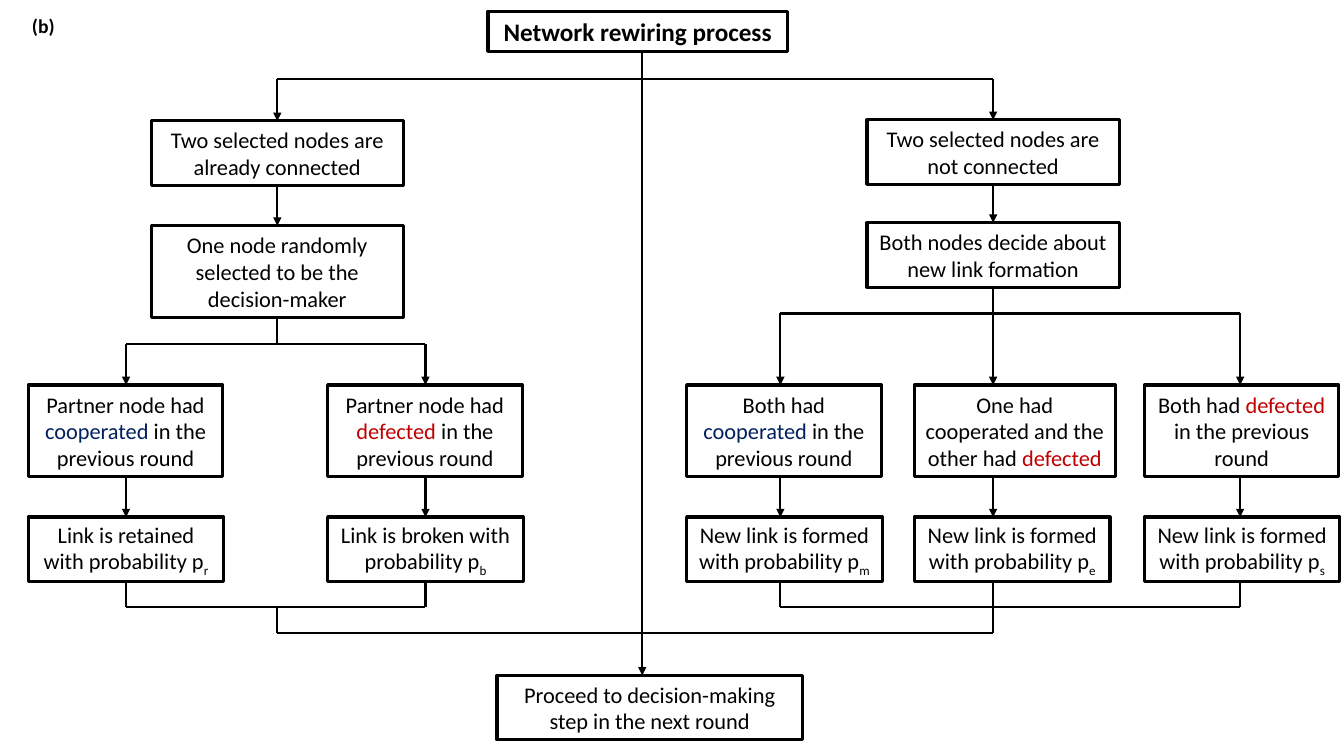
from dataclasses import dataclass

from lxml import etree
from pptx import Presentation
from pptx.dml.color import RGBColor
from pptx.enum.shapes import MSO_CONNECTOR, MSO_SHAPE
from pptx.enum.text import MSO_ANCHOR, MSO_AUTO_SIZE, PP_ALIGN
from pptx.oxml.ns import qn
from pptx.util import Inches, Pt


@dataclass(frozen=True)
class Theme:
    """Colours, type sizes and line weights."""
    font: str = "Calibri"
    ink: str = "000000"
    cooperated: str = "002060"
    defected: str = "C00000"
    title: float = 18
    body: float = 16
    label: float = 14
    border: float = 2.25
    line: float = 1.5
    merge: float = 1.25


@dataclass(frozen=True)
class Box:
    """A rectangle measured in grid columns and rows."""
    left: float
    top: float
    width: float
    height: float

    @property
    def bottom(self):
        """Row of the lower edge."""
        return self.top + self.height

    def inner(self, left, top, width, height):
        """Box placed relative to this one."""
        return Box(self.left + left, self.top + top, width, height)


@dataclass(frozen=True)
class Outcome:
    """One column of a branch: its arrow, boxes and wording."""
    arrow: float
    left: float
    width: float
    condition: tuple
    result: tuple


THEME = Theme()
CELL = Inches(0.1)
CONDITION_ROW, RESULT_ROW, JOIN_ROW = 30.4, 43.5, 52.4
TWO_LINES, THREE_LINES = 6.4, 9.1
COOPERATED = ("cooperated", THEME.cooperated)
DEFECTED = ("defected", THEME.defected)


def cells(*counts):
    """Convert grid counts to slide lengths."""
    return [round(count * CELL) for count in counts]


def write(shape, pieces, size=THEME.body, bold=False):
    """Fill a shape with centred text, coloured words and subscripts."""
    frame = shape.text_frame
    frame.word_wrap = True
    frame.auto_size = MSO_AUTO_SIZE.NONE
    frame.vertical_anchor = MSO_ANCHOR.MIDDLE
    paragraph = frame.paragraphs[0]
    paragraph.alignment = PP_ALIGN.CENTER
    for piece in pieces:
        text, colour = piece if isinstance(piece, tuple) else (piece, THEME.ink)
        run = paragraph.add_run()
        run.text = text.removeprefix("_")
        run.font.name, run.font.size, run.font.bold = THEME.font, Pt(size), bold
        run.font.color.rgb = RGBColor.from_string(colour)
        if text.startswith("_"):
            run._r.get_or_add_rPr().set("baseline", "-25000")


def outline(shape):
    """Give a shape the plain bordered look."""
    shape.fill.background()
    shape.line.color.rgb = RGBColor.from_string(THEME.ink)
    shape.line.width = Pt(THEME.border)


def step(slide, box, pieces):
    """Draw one bordered flowchart step."""
    shape = slide.shapes.add_shape(
        MSO_SHAPE.RECTANGLE, *cells(box.left, box.top, box.width, box.height))
    shape.shadow.inherit = False
    outline(shape)
    write(shape, pieces)


def link(slide, x1, y1, x2, y2, arrow=False, weight=THEME.line):
    """Draw a straight line, with an arrowhead if asked."""
    line = slide.shapes.add_connector(MSO_CONNECTOR.STRAIGHT, *cells(x1, y1, x2, y2))
    line.line.color.rgb = RGBColor.from_string(THEME.ink)
    line.line.width = Pt(weight)
    if arrow:
        etree.SubElement(line.line._get_or_add_ln(), qn("a:tailEnd"), type="triangle")
    etree.SubElement(line._element.spPr, qn("a:effectLst"))


def branch(slide, region, trunk, heads, outcomes, fork, spine):
    """Draw a branch from its top arrow to its merge into the spine."""
    trunk += region.left
    above = region.top
    for head, text in heads:
        link(slide, trunk, above, trunk, head.top, arrow=True)
        step(slide, head, [text])
        above = head.bottom
    fork += region.top
    join = region.top + JOIN_ROW
    arrows = [region.left + outcome.arrow for outcome in outcomes]
    link(slide, trunk, above, trunk, fork)
    link(slide, arrows[0], fork, arrows[-1], fork)
    for x, outcome in zip(arrows, outcomes):
        condition = region.inner(outcome.left, CONDITION_ROW, outcome.width, THREE_LINES)
        result = region.inner(outcome.left, RESULT_ROW, 19.4, TWO_LINES)
        link(slide, x, fork, x, condition.top, arrow=True)
        link(slide, x, condition.bottom, x, result.top, arrow=True)
        link(slide, x, result.bottom, x, join)
        step(slide, condition, outcome.condition)
        step(slide, result, outcome.result)
    link(slide, arrows[0], join, arrows[-1], join)
    link(slide, trunk, join, trunk, region.bottom)
    link(slide, trunk, region.bottom, spine, region.bottom, weight=THEME.merge)


def heading(slide, box):
    """Place the panel label and the bordered title."""
    label = slide.shapes.add_textbox(*cells(1.9, 0.8, 4.8, 3.4))
    write(label, ["(b)"], THEME.label, bold=True)
    title = slide.shapes.title
    title.left, title.top, title.width, title.height = cells(
        box.left, box.top, box.width, box.height)
    outline(title)
    write(title, ["Network rewiring process"], THEME.title, bold=True)


def connected_branch(slide, region, spine):
    """Draw the steps for nodes that already share a link."""
    heads = [
        (region.inner(12.2, 4.2, 25, TWO_LINES), "Two selected nodes are already connected"),
        (region.inner(12.2, 14.6, 25, THREE_LINES),
         "One node randomly selected to be the decision-maker"),
    ]
    outcomes = [
        Outcome(arrow, left, 19.3, ("Partner node had ", word, " in the previous round"),
                (f"Link is {fate} with probability p", sub))
        for arrow, left, word, fate, sub in [
            (9.7, 0, COOPERATED, "retained", "_r"), (39.4, 29.7, DEFECTED, "broken", "_b")]
    ]
    branch(slide, region, 24.7, heads, outcomes, 26.3, spine)


def unconnected_branch(slide, region, spine):
    """Draw the steps for nodes without a link."""
    heads = [
        (region.inner(17.9, row, 25, TWO_LINES), text) for row, text in [
            (4.1, "Two selected nodes are not connected"),
            (14.3, "Both nodes decide about new link formation")]
    ]
    outcomes = [
        Outcome(arrow, left, width, condition, ("New link is formed with probability p", sub))
        for arrow, left, width, condition, sub in [
            (9.3, 0, 19.3, ("Both had ", COOPERATED, " in the previous round"), "_m"),
            (30.4, 22.6, 19.9, ("One had cooperated and the other had ", DEFECTED), "_e"),
            (54.9, 45.4, 19.3, ("Both had ", DEFECTED, " in the previous round"), "_s")]
    ]
    branch(slide, region, 30.4, heads, outcomes, 23.3, spine)


def rewiring_slide(deck):
    """Build the whole network rewiring flowchart."""
    slide = deck.slides.add_slide(deck.slide_layouts[5])
    title, final = Box(48.4, 1.1, 29.7, 4), Box(49.3, 67, 30.3, TWO_LINES)
    left, right = Box(2.8, 7.8, 49.1, 55), Box(68.1, 7.8, 64.8, 55)
    spine = 63.7
    heading(slide, title)
    link(slide, left.left + 24.7, left.top, right.left + 30.4, right.top)
    link(slide, spine, title.bottom, spine, final.top, arrow=True)
    connected_branch(slide, left, spine)
    unconnected_branch(slide, right, spine)
    step(slide, final, ["Proceed to decision-making step in the next round"])


deck = Presentation()
deck.slide_width, deck.slide_height = Inches(13.33), Inches(7.5)
rewiring_slide(deck)
deck.save("out.pptx")
